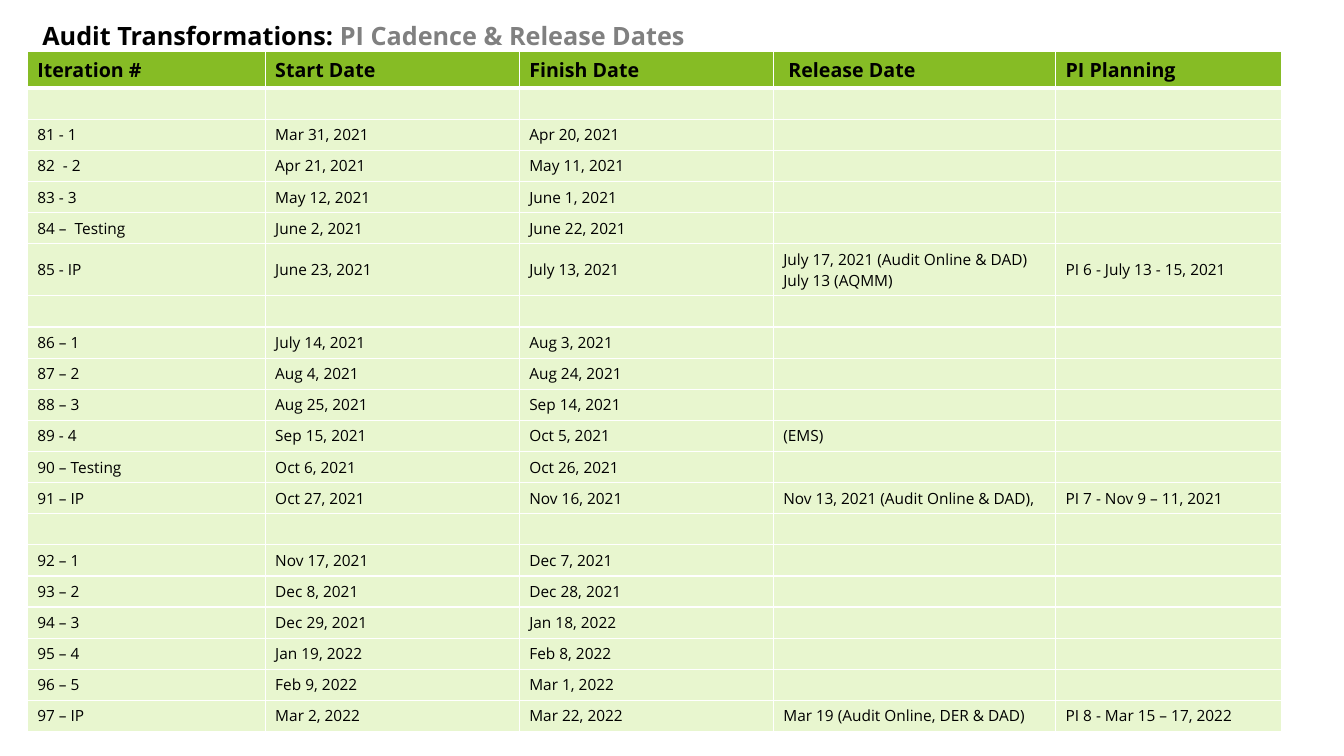
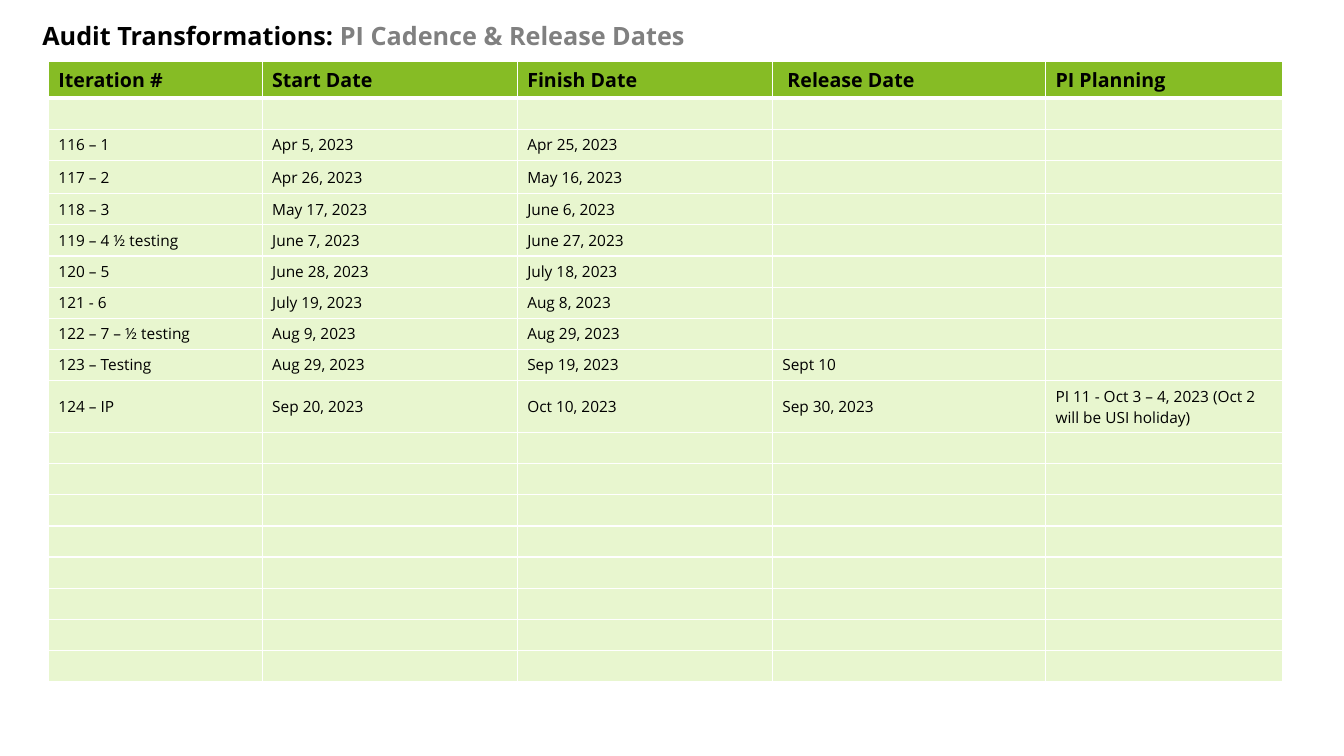
"""Build two slides of iteration, release and planning dates."""
from lxml import etree
from pptx import Presentation
from pptx import util as u
from pptx.dml.color import RGBColor
from pptx.enum import text
from pptx.oxml.ns import qn

HEADS = ("Iteration #", "Start Date", "Finish Date", " Release Date", "PI Planning")

FIRST = [
    (),
    ("81 - 1", "Mar 31, 2021", "Apr 20, 2021"),
    ("82  - 2", "Apr 21, 2021", "May 11, 2021"),
    ("83 - 3", "May 12, 2021", "June 1, 2021"),
    ("84 –  Testing", "June 2, 2021", "June 22, 2021"),
    ("85 - IP", "June 23, 2021", "July 13, 2021",
     "July 17, 2021 (Audit Online & DAD)\nJuly 13 (AQMM)", "PI 6 - July 13 - 15, 2021"),
    (),
    ("86 – 1", "July 14, 2021", "Aug 3, 2021"),
    ("87 – 2", "Aug 4, 2021", "Aug 24, 2021"),
    ("88 – 3", "Aug 25, 2021", "Sep 14, 2021"),
    ("89 - 4", "Sep 15, 2021", "Oct 5, 2021", "(EMS)"),
    ("90 – Testing", "Oct 6, 2021", "Oct 26, 2021"),
    ("91 – IP", "Oct 27, 2021", "Nov 16, 2021",
     "Nov 13, 2021 (Audit Online & DAD),", "PI 7 - Nov 9 – 11, 2021"),
    (),
    ("92 – 1", "Nov 17, 2021", "Dec 7, 2021"),
    ("93 – 2", "Dec 8, 2021", "Dec 28, 2021"),
    ("94 – 3", "Dec 29, 2021", "Jan 18, 2022"),
    ("95 – 4", "Jan 19, 2022", "Feb 8, 2022"),
    ("96 – 5", "Feb 9, 2022", "Mar 1, 2022"),
    ("97 – IP", "Mar 2, 2022", "Mar 22, 2022",
     "Mar 19 (Audit Online, DER & DAD)", "PI 8 - Mar 15 – 17, 2022"),
]

SECOND = [
    (),
    ("116 – 1", "Apr 5, 2023", "Apr 25, 2023"),
    ("117 – 2", "Apr 26, 2023", "May 16, 2023"),
    ("118 – 3", "May 17, 2023", "June 6, 2023"),
    ("119 – 4 ½ testing", "June 7, 2023", "June 27, 2023"),
    ("120 – 5", "June 28, 2023", "July 18, 2023"),
    ("121 - 6", "July 19, 2023", "Aug 8, 2023"),
    ("122 – 7 – ½ testing", "Aug 9, 2023", "Aug 29, 2023"),
    ("123 – Testing", "Aug 29, 2023", "Sep 19, 2023", "Sept 10"),
    ("124 – IP", "Sep 20, 2023", "Oct 10, 2023", "Sep 30, 2023",
     "PI 11 - Oct 3 – 4, 2023 (Oct 2 will be USI holiday)"),
] + [()] * 8


def color(code):
    """Turn a hex string into a colour."""
    return RGBColor.from_string(code)


class Deck:
    """Hold the shared style and the current slide."""

    FONT = "Open Sans"
    INK, GRAY, WHITE = "000000", "808080", "FFFFFF"
    GREEN, PALE = "86BC25", "E8F6CF"

    def __init__(self):
        """Start an empty wide deck."""
        self.prs = Presentation()
        self.prs.slide_width = u.Inches(13.33)
        self.prs.slide_height = u.Inches(7.5)

    def page(self, lead, rest):
        """Add a slide with a two-tone title."""
        self.slide = self.prs.slides.add_slide(self.prs.slide_layouts[5])
        title = self.slide.shapes.title
        title.left, title.top = u.Inches(0.42), u.Inches(0.19)
        title.width, title.height = u.Inches(12.31), u.Inches(0.37)
        frame = title.text_frame
        frame.margin_left = frame.margin_right = 0
        frame.margin_top = frame.margin_bottom = 0
        frame.auto_size = text.MSO_AUTO_SIZE.NONE
        frame.vertical_anchor = text.MSO_ANCHOR.MIDDLE
        para = frame.paragraphs[0]
        para.alignment = text.PP_ALIGN.LEFT
        para.line_spacing = 0.9
        for words, tone in ((lead, self.INK), (rest, self.GRAY)):
            run = para.add_run()
            run.text = words
            self.style(run.font, 18, True, tone)

    def style(self, font, size, bold, tone):
        """Format one font."""
        font.name, font.size, font.bold = self.FONT, u.Pt(size), bold
        font.color.rgb = color(tone)

    def table(self, left, top, cols, rows, high):
        """Add a date table; high maps row numbers to special heights."""
        rows = [HEADS] + rows
        sizes = [high.get(i, 0.29) for i in range(len(rows))]
        grid = self.slide.shapes.add_table(
            len(rows), len(cols), u.Inches(left), u.Inches(top),
            u.Inches(sum(cols)), u.Inches(sum(sizes))).table
        grid.horz_banding = False
        for col, width in zip(grid.columns, cols):
            col.width = u.Inches(width)
        for i, (row, size) in enumerate(zip(rows, sizes)):
            grid.rows[i].height = u.Inches(size)
            for j in range(len(cols)):
                self.cell(grid.cell(i, j), row[j] if j < len(row) else "", i)

    def cell(self, cell, words, row):
        """Fill and format one cell."""
        head = row == 0
        cell.fill.solid()
        cell.fill.fore_color.rgb = color(self.GREEN if head else self.PALE)
        cell.vertical_anchor = text.MSO_ANCHOR.TOP if head else text.MSO_ANCHOR.MIDDLE
        cell.text_frame.text = words
        for para in cell.text_frame.paragraphs:
            for run in para.runs:
                self.style(run.font, 14 if head else 11, head, self.INK)
            if not para.runs:
                end = etree.SubElement(para._p, qn("a:endParaRPr"), sz="1100")
                etree.SubElement(end, qn("a:latin"), typeface=self.FONT)
        self.edge(cell, row)

    def edge(self, cell, row):
        """Draw white borders, thick below the header."""
        props = cell._tc.get_or_add_tcPr()
        for i, side in enumerate("LRTB"):
            thick = (row, side) in ((0, "B"), (1, "T"))
            line = etree.Element(qn("a:ln" + side), w=str(u.Pt(3 if thick else 1)))
            fill = etree.SubElement(line, qn("a:solidFill"))
            etree.SubElement(fill, qn("a:srgbClr"), val=self.WHITE)
            props.insert(i, line)


def main():
    """Build and save the deck."""
    deck = Deck()
    plans = (
        (0.27, 0.51, (2.36, 2.52, 2.52, 2.8, 2.24), FIRST, {0: 0.33}),
        (0.48, 0.61, (2.12, 2.53, 2.53, 2.71, 2.35), SECOND, {0: 0.34, 3: 0.33}),
    )
    for plan in plans:
        deck.page("Audit Transformations: ", "PI Cadence & Release Dates")
        deck.table(*plan)
    deck.prs.save("out.pptx")


if __name__ == "__main__":
    main()
